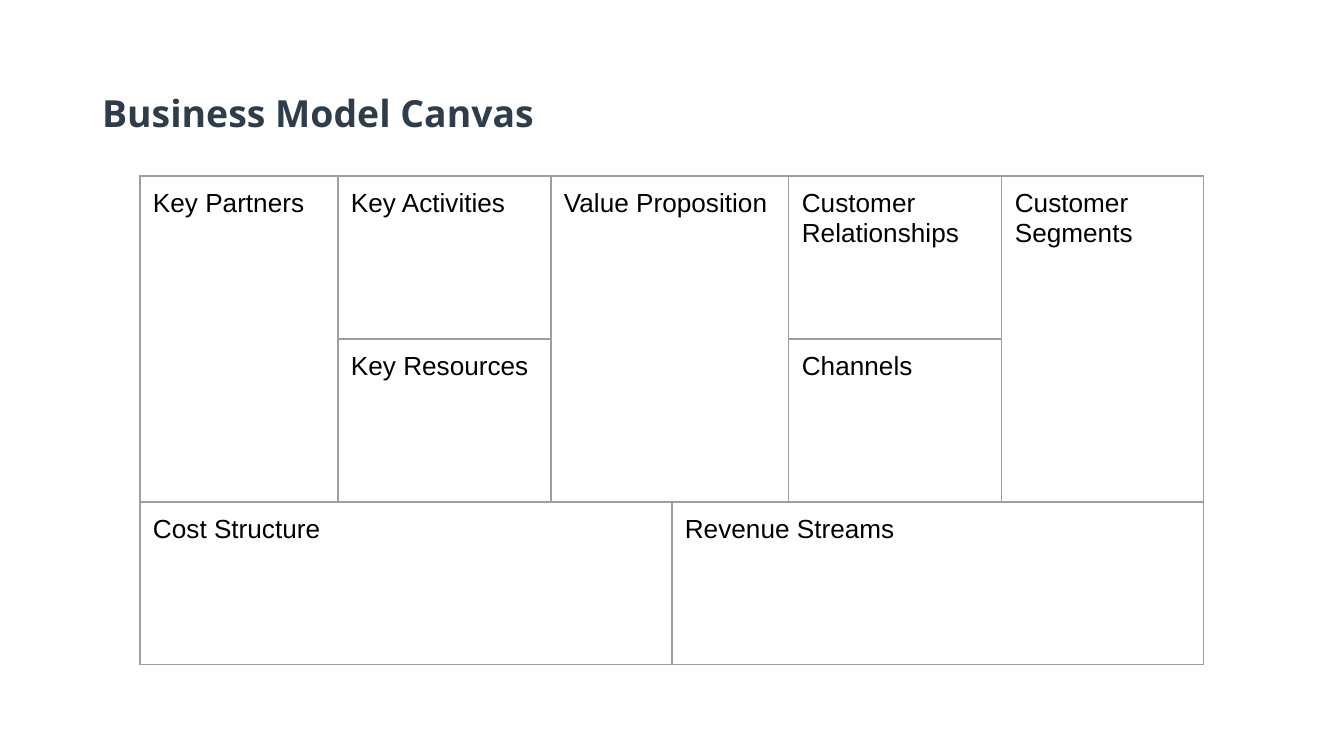
from lxml import etree
from pptx import Presentation
from pptx.dml.color import RGBColor
from pptx.enum.text import MSO_ANCHOR, PP_ALIGN
from pptx.oxml.ns import qn
from pptx.util import Pt

MIDDLE, TOP = MSO_ANCHOR.MIDDLE, MSO_ANCHOR.TOP
LEFT = PP_ALIGN.LEFT
EMU_PER_PX = 914400 / 134.4
COLORS = {"background": "FFFFFF", "title": "2E3D49", "text": "000000", "border": "9E9E9E"}
INSET = 13


def px(length):
    return round(length * EMU_PER_PX)


def write_text(owner, text, font_name, size, color, bold, anchor):
    """Fill a cell or shape with one formatted run."""
    frame = owner.text_frame
    frame.word_wrap = True
    # Cells carry their own margins and anchor, shapes keep them on the frame
    box = owner if hasattr(owner, "is_merge_origin") else frame
    box.margin_left = box.margin_right = px(INSET)
    box.margin_top = box.margin_bottom = px(INSET)
    box.vertical_anchor = anchor
    paragraph = frame.paragraphs[0]
    paragraph.alignment = LEFT
    run = paragraph.add_run()
    run.text = text
    run.font.name = font_name
    run.font.size = Pt(size)
    run.font.bold = bold
    run.font.color.rgb = RGBColor.from_string(COLORS[color])


presentation = Presentation()
presentation.slide_width, presentation.slide_height = px(1344), px(756)
slide = presentation.slides.add_slide(presentation.slide_layouts[5])
slide.background.fill.solid()
slide.background.fill.fore_color.rgb = RGBColor.from_string(COLORS["background"])

# Title
title = slide.shapes.title
title.left, title.top, title.width, title.height = px(89), px(70), px(1167), px(85)
write_text(title, "Business Model Canvas", "Open Sans", 20, "title", True, MIDDLE)

# Canvas grid
column_widths = [198, 213, 121, 117, 213, 202]
row_height, row_count = 163, 3
table_shape = slide.shapes.add_table(
    row_count, len(column_widths), px(140), px(176),
    px(sum(column_widths)), px(row_height * row_count))
table = table_shape.table
table.first_row = table.horz_banding = False
for column, width in zip(table.columns, column_widths):
    column.width = px(width)
for row in table.rows:
    row.height = px(row_height)

# No fill and thin borders on every cell
for cell in table.iter_cells():
    cell.fill.background()
    properties = cell._tc.get_or_add_tcPr()
    for position, side in enumerate(("lnL", "lnR", "lnT", "lnB")):
        line = etree.Element(qn(f"a:{side}"), w=str(Pt(0.75)))
        fill = etree.SubElement(line, qn("a:solidFill"))
        etree.SubElement(fill, qn("a:srgbClr"), val=COLORS["border"])
        properties.insert(position, line)

# Blocks: row, column, row span, column span, label
blocks = [
    (0, 0, 2, 1, "Key Partners"),
    (0, 1, 1, 1, "Key Activities"),
    (0, 2, 2, 2, "Value Proposition"),
    (0, 4, 1, 1, "Customer Relationships"),
    (0, 5, 2, 1, "Customer Segments"),
    (1, 1, 1, 1, "Key Resources"),
    (1, 4, 1, 1, "Channels"),
    (2, 0, 1, 3, "Cost Structure"),
    (2, 3, 1, 3, "Revenue Streams"),
]
for row, column, row_span, column_span, label in blocks:
    cell = table.cell(row, column)
    if row_span * column_span > 1:
        cell.merge(table.cell(row + row_span - 1, column + column_span - 1))
    write_text(cell, label, "Arial", 14, "text", False, TOP)

presentation.save("out.pptx")
